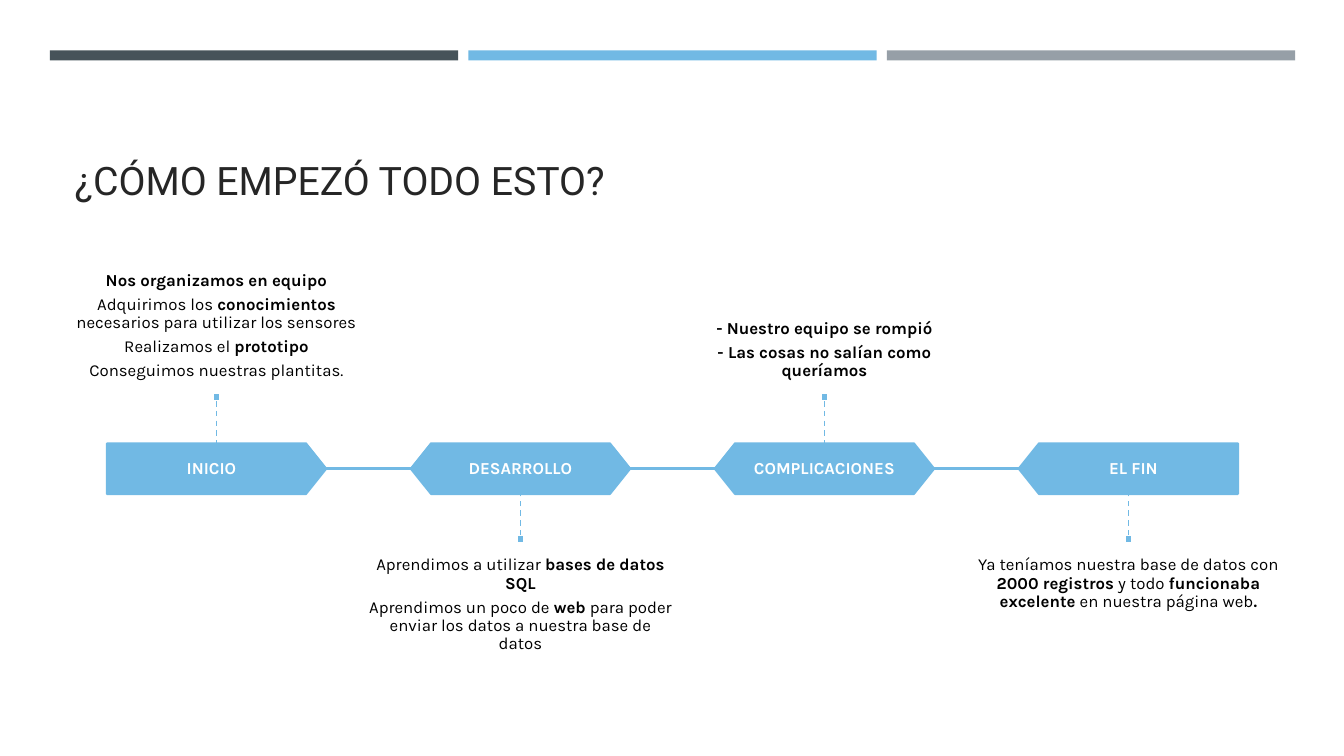
from lxml import etree
from pptx import Presentation
from pptx.dml.color import RGBColor
from pptx.enum.dml import MSO_LINE
from pptx.enum.shapes import MSO_CONNECTOR, MSO_SHAPE
from pptx.enum.text import MSO_ANCHOR, PP_ALIGN
from pptx.oxml.ns import qn
from pptx.util import Inches, Pt

RECT = MSO_SHAPE.RECTANGLE
PLATE = MSO_SHAPE.PENTAGON
HEX = MSO_SHAPE.HEXAGON
LINE = MSO_CONNECTOR.STRAIGHT
DASH = MSO_LINE.DASH
TOP, MIDDLE, BOTTOM = MSO_ANCHOR.TOP, MSO_ANCHOR.MIDDLE, MSO_ANCHOR.BOTTOM
LEFT, CENTER = PP_ALIGN.LEFT, PP_ALIGN.CENTER

WIDE, HIGH = 13.33, 7.5
EDGE = 0.64
COL = 12.06 / 48
ROW = HIGH / 15

BLUE, DARK, GRAY = "71B9E4", "465359", "969FA7"
WHITE, BLACK, INK = "FFFFFF", "000000", "262626"

STOPS = [
    ("INICIO", PLATE, True, [
        "*Nos organizamos en equipo*",
        "Adquirimos los *conocimientos* necesarios para utilizar los sensores",
        "Realizamos el *prototipo*",
        "Conseguimos nuestras plantitas.",
    ]),
    ("DESARROLLO", HEX, False, [
        "Aprendimos a utilizar *bases de datos SQL*",
        "Aprendimos un poco de *web* para poder enviar los datos a nuestra base de datos",
    ]),
    ("COMPLICACIONES", HEX, True, [
        "*- Nuestro equipo se rompió*",
        "*- Las cosas no salían como queríamos*",
    ]),
    ("EL FIN", PLATE, False, [
        "Ya teníamos nuestra base de datos con *2000 registros* y todo "
        "*funcionaba excelente* en nuestra página web*.*",
    ]),
]


def color(code):
    return RGBColor.from_string(code)


def across(cols):
    return Inches(EDGE + cols * COL)


def down(rows):
    return Inches(rows * ROW)


def write(frame, lines, size=12, font="Karla", ink=BLACK, align=CENTER,
          anchor=TOP, pad=(0, 0), wrap=True, lead=0.9, after=4.2):
    frame.word_wrap = wrap
    frame.vertical_anchor = anchor
    frame.margin_left = frame.margin_right = Inches(pad[0])
    frame.margin_top = frame.margin_bottom = Inches(pad[1])
    for i, line in enumerate(lines):
        para = frame.add_paragraph() if i else frame.paragraphs[0]
        para.alignment = align
        para.line_spacing = lead
        para.space_after = Pt(after)
        for j, part in enumerate(line.split("*")):
            if part:
                run = para.add_run()
                run.text = part
                run.font.size = Pt(size)
                run.font.name = font
                run.font.bold = j % 2 == 1
                run.font.color.rgb = color(ink)


class Board:
    def __init__(self, deck):
        self.slide = deck.slides.add_slide(deck.slide_layouts[5])
        self.shapes = self.slide.shapes

    def area(self, mid, top, wide, high):
        return across(mid - wide / 2), down(top), Inches(wide * COL), down(high)

    def title(self, text, *spot):
        head = self.shapes.title
        head.left, head.top, head.width, head.height = self.area(*spot)
        write(head.text_frame, [text], size=28, font="Roboto", ink=INK,
              align=LEFT, anchor=BOTTOM, pad=(0.1, 0.05), after=0)

    def block(self, kind, spot, fill, edge=None):
        shape = self.shapes.add_shape(kind, *self.area(*spot))
        shape.shadow.inherit = False
        shape.fill.solid()
        shape.fill.fore_color.rgb = color(fill)
        if edge:
            shape.line.color.rgb = color(edge)
            shape.line.width = Pt(1.75)
        else:
            shape.line.fill.background()
        return shape

    def step(self, kind, label, spot, flip=False):
        shape = self.block(kind, spot, BLUE, BLUE)
        shape.adjustments[0] = 0.4
        if flip:
            shape._element.spPr.find(qn("a:xfrm")).set("flipH", "1")
        write(shape.text_frame, [f"*{label}*"], ink=WHITE, anchor=MIDDLE,
              wrap=False)

    def note(self, lines, spot, anchor):
        box = self.shapes.add_textbox(*self.area(*spot))
        write(box.text_frame, lines, anchor=anchor, pad=(0, 0.12))

    def link(self, start, end, width=1.75, dash=None):
        line = self.shapes.add_connector(
            LINE, across(start[0]), down(start[1]), across(end[0]), down(end[1]))
        line.line.color.rgb = color(BLUE)
        line.line.width = Pt(width)
        if dash:
            line.line.dash_style = dash
        etree.SubElement(line._element.spPr, qn("a:effectLst"))
        return line


def main():
    deck = Presentation()
    deck.slide_width, deck.slide_height = Inches(WIDE), Inches(HIGH)
    board = Board(deck)

    for i, fill in enumerate((DARK, BLUE, GRAY)):
        board.block(RECT, (24 + 16.52 * (i - 1), 1, 16.12, 0.2), fill)
    board.title("¿CÓMO EMPEZÓ TODO ESTO?", 24, 1.54, 48, 2.6)

    pitch, wide, top, high = 12, 8.64, 8.8, 1
    for i, (label, kind, above, lines) in enumerate(STOPS):
        mid = pitch * (i + 0.5)
        last = i == len(STOPS) - 1
        board.step(kind, label, (mid, top, wide, high), flip=last)
        if not last:
            axis = top + high / 2
            board.link((mid + wide / 2, axis), (mid + pitch - wide / 2, axis))

        if above:
            side, dot_top, note_top, anchor, site = top, 7.8, 5.12, BOTTOM, 2
        else:
            side, dot_top, note_top, anchor, site = top + high, 10.62, 10.8, TOP, 0
        dot = board.block(RECT, (mid, dot_top, 0.32, 0.16), BLUE, WHITE)
        stem = board.link((mid, dot_top), (mid, side), width=1, dash=DASH)
        stem.begin_connect(dot, site)
        board.note(lines, (mid, note_top, pitch, 2.66), anchor)

    deck.save("out.pptx")


if __name__ == "__main__":
    main()
